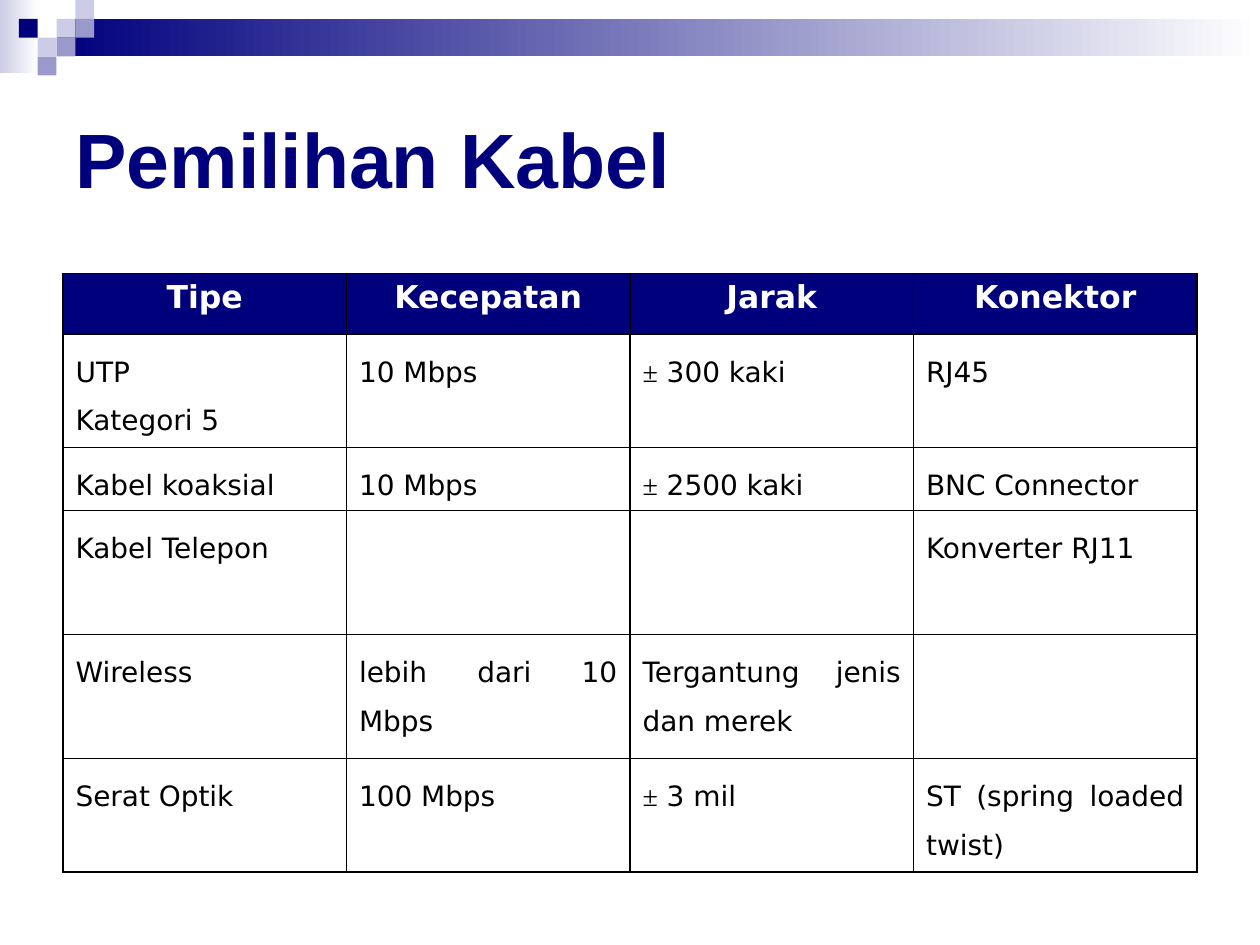
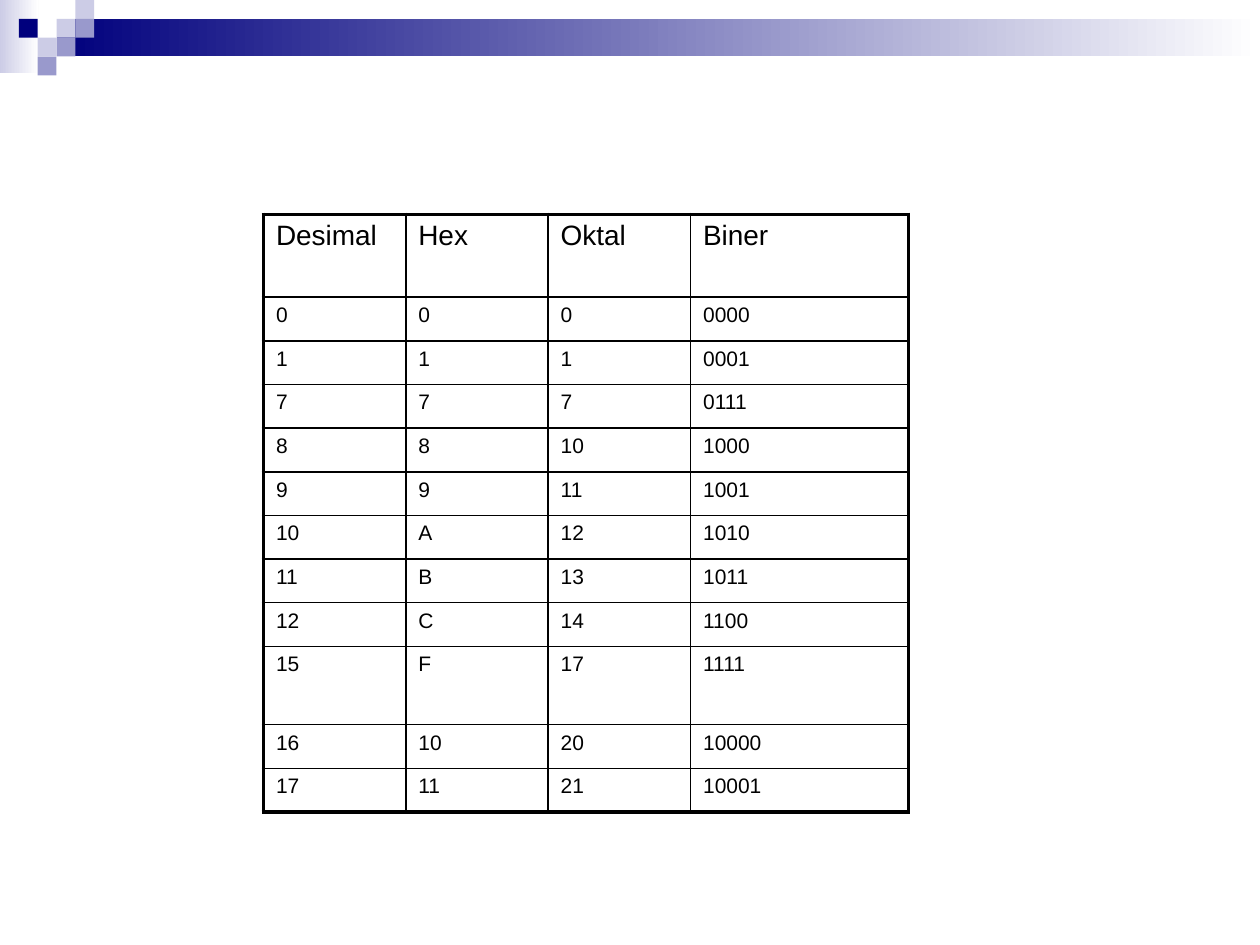
"""Build two table slides on cable selection and number systems."""
from lxml import etree
from pptx import Presentation
from pptx.dml.color import RGBColor
from pptx.enum.shapes import MSO_SHAPE
from pptx.enum.text import MSO_ANCHOR, MSO_AUTO_SIZE, PP_ALIGN
from pptx.oxml.ns import qn
from pptx.util import Cm, Pt

RECTANGLE = MSO_SHAPE.RECTANGLE
MIDDLE = MSO_ANCHOR.MIDDLE
NO_AUTOFIT = MSO_AUTO_SIZE.NONE
LEFT, CENTER, JUSTIFY = PP_ALIGN.LEFT, PP_ALIGN.CENTER, PP_ALIGN.JUSTIFY

COLORS = {
    "navy": "00007D",
    "violet": "9999CC",
    "lilac": "CCCCE6",
    "white": "FFFFFF",
    "black": "000000",
}
HEADING_FONT, CABLE_FONT, SYMBOL_FONT = "Arial", "DejaVu Sans", "Times New Roman"
TITLE_ONLY, BLANK = 5, 6

SQUARE = 0.38
MOSAIC = [
    (3, 1, "lilac"), (4, 0, "lilac"), (4, 1, "violet"), (2, 2, "lilac"),
    (1, 1, "navy"), (3, 2, "violet"), (2, 3, "violet"),
]

THIN, THICK = 1, 2.25

CABLES = [
    ["Tipe", "Kecepatan", "Jarak", "Konektor"],
    ["UTP\nKategori 5", "10 Mbps", "± 300 kaki", "RJ45"],
    ["Kabel koaksial", "10 Mbps", "± 2500 kaki", "BNC Connector"],
    ["Kabel Telepon", "", "", "Konverter RJ11"],
    ["Wireless", "lebih dari 10 Mbps", "Tergantung jenis dan merek", ""],
    ["Serat Optik", "100 Mbps", "± 3 mil", "ST (spring loaded twist)"],
]
CABLE_ROWS = [1.22, 2.29, 1.27, 2.5, 2.5, 2.29]

NUMBERS = [["Desimal", "Hex", "Oktal", "Biner"]] + [
    [str(number), f"{number:X}", f"{number:o}", f"{number:04b}"]
    for number in (0, 1, 7, 8, 9, 10, 11, 12, 15, 16, 17)
]
NUMBER_ROWS = [1.67] + [0.88] * 8 + [1.58] + [0.88] * 2


def rgb(name):
    """Return the named colour."""
    return RGBColor.from_string(COLORS[name])


def add_block(page, left, top, width, height, *colors):
    """Add a borderless rectangle, solid or fading from left to right."""
    block = page.shapes.add_shape(RECTANGLE, Cm(left), Cm(top), Cm(width), Cm(height))
    block.shadow.inherit = False
    block.line.fill.background()
    if len(colors) == 1:
        block.fill.solid()
        block.fill.fore_color.rgb = rgb(colors[0])
        return
    block.fill.gradient()
    block.fill.gradient_angle = 0
    for stop, color in zip(block.fill.gradient_stops, colors):
        stop.color.rgb = rgb(color)


def add_band(page):
    """Draw the fading band and the mosaic at the top of a page."""
    add_block(page, 0, 0, 0.78, 1.48, "lilac", "white")
    add_block(page, 3 * SQUARE, SQUARE, 24.26, 2 * SQUARE, "navy", "white")
    for column, row, color in MOSAIC:
        add_block(page, column * SQUARE, row * SQUARE, SQUARE, SQUARE, color)


def add_span(para, text, font, size, color, bold=False):
    """Add one formatted run to a paragraph."""
    span = para.add_run()
    span.text = text
    span.font.name = font
    span.font.size = Pt(size)
    span.font.bold = bold
    span.font.color.rgb = rgb(color)


def set_title(page, text):
    """Place and fill the title placeholder."""
    title = page.shapes.title
    title.left, title.top, title.width, title.height = (
        Cm(1.27), Cm(1.27), Cm(22.86), Cm(3.81))
    frame = title.text_frame
    frame.auto_size = NO_AUTOFIT
    frame.vertical_anchor = MIDDLE
    para = frame.paragraphs[0]
    para.alignment = LEFT
    add_span(para, text, HEADING_FONT, 44, "navy", bold=True)


def write_cell(cell, text, font, size, color="black", bold=False, align=LEFT, spacing=None):
    """Write the lines of a cell, with a leading ± in the symbol font."""
    for index, line in enumerate(text.splitlines()):
        frame = cell.text_frame
        para = frame.add_paragraph() if index else frame.paragraphs[0]
        para.alignment = align
        para.line_spacing = spacing
        if line.startswith("±"):
            add_span(para, "±", SYMBOL_FONT, size, color, bold)
            line = line[1:]
        add_span(para, line, font, size, color, bold)


def set_borders(cell, widths):
    """Draw black cell borders, given as left, right, top and bottom widths."""
    properties = cell._tc.get_or_add_tcPr()
    for side, width in zip("LRTB", widths):
        border = etree.SubElement(properties, qn(f"a:ln{side}"), w=str(Pt(width)))
        fill = etree.SubElement(border, qn("a:solidFill"))
        etree.SubElement(fill, qn("a:srgbClr"), val=COLORS["black"])


def add_grid(page, left, top, columns, heights, values, frame_width, header, body,
             header_fill=None):
    """Add a ruled table with one text style for the header and one for the body."""
    last_row, last_column = len(heights) - 1, len(columns) - 1
    table = page.shapes.add_table(
        len(heights), len(columns), Cm(left), Cm(top),
        Cm(sum(columns)), Cm(sum(heights))).table
    table.first_row = table.horz_banding = False
    for column, width in zip(table.columns, columns):
        column.width = Cm(width)
    for r, (row, height) in enumerate(zip(table.rows, heights)):
        row.height = Cm(height)
        for c, cell in enumerate(row.cells):
            edges = (c == 0, c == last_column, r == 0, r == last_row)
            set_borders(cell, [frame_width if edge else THIN for edge in edges])
            if r == 0 and header_fill:
                cell.fill.solid()
                cell.fill.fore_color.rgb = rgb(header_fill)
            else:
                cell.fill.background()
            write_cell(cell, values[r][c], **(body if r else header))


def add_page(deck, layout):
    """Add a page with the shared band."""
    page = deck.slides.add_slide(deck.slide_layouts[layout])
    add_band(page)
    return page


def main():
    """Build and save the deck."""
    deck = Presentation()
    deck.slide_width, deck.slide_height = Cm(25.4), Cm(19.05)

    cable_page = add_page(deck, TITLE_ONLY)
    set_title(cable_page, "Pemilihan Kabel")
    add_grid(
        cable_page, 1.27, 5.51, [5.715] * 4, CABLE_ROWS, CABLES, THIN,
        header={"font": CABLE_FONT, "size": 18, "color": "white", "bold": True,
                "align": CENTER},
        body={"font": CABLE_FONT, "size": 16, "align": JUSTIFY, "spacing": 1.5},
        header_fill="navy")

    number_page = add_page(deck, BLANK)
    add_grid(
        number_page, 5.31, 4.32, [2.87] * 3 + [4.39], NUMBER_ROWS, NUMBERS, THICK,
        header={"font": HEADING_FONT, "size": 16},
        body={"font": HEADING_FONT, "size": 12})

    deck.save("out.pptx")


if __name__ == "__main__":
    main()
